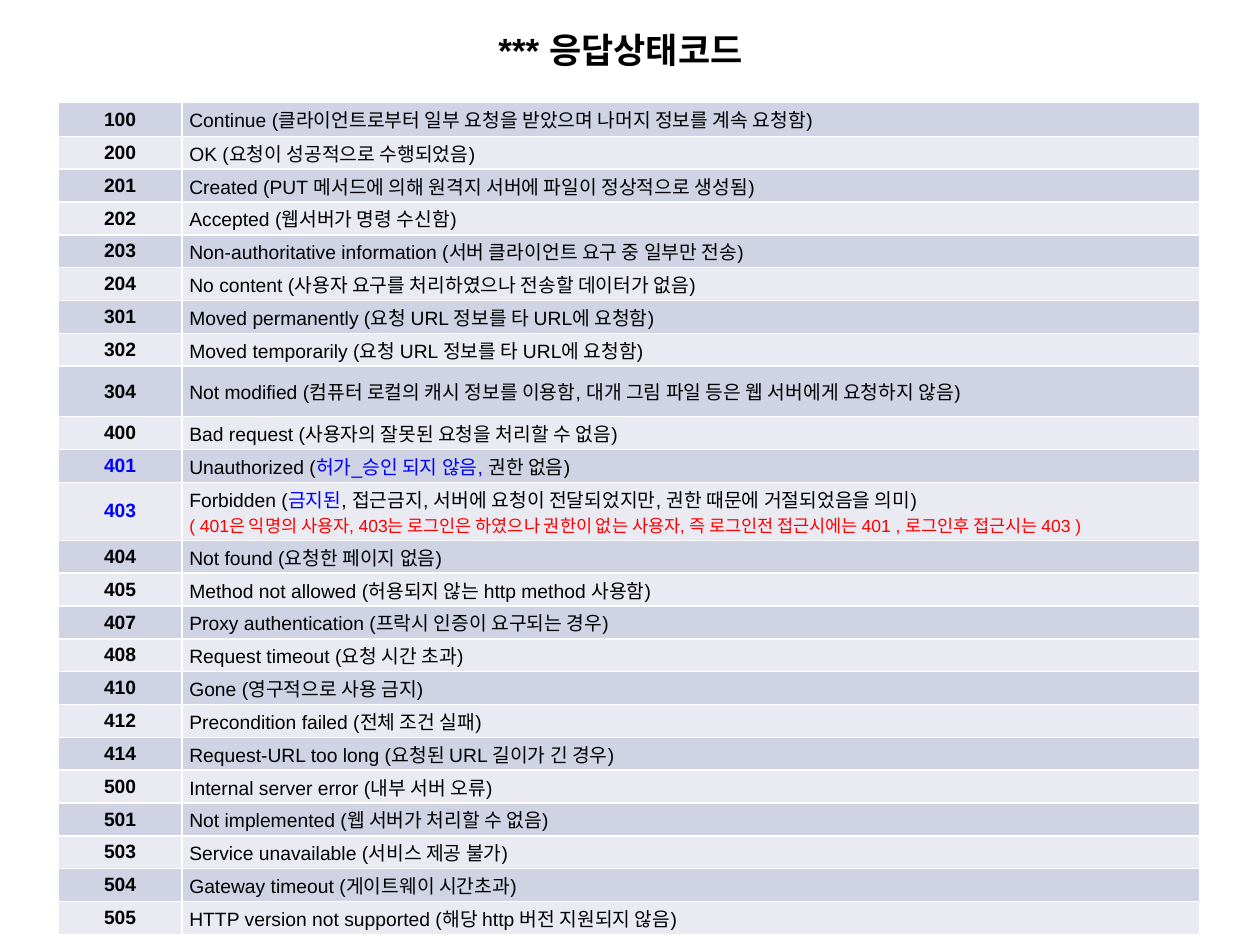
from lxml import etree
from pptx import Presentation
from pptx.dml.color import RGBColor
from pptx.enum import text
from pptx.oxml import ns
from pptx.util import Pt

COLORS = {"text": "000000", "blue": "0000FF", "red": "FF0000",
          "odd": "CFD3E4", "even": "E9EAF2", "border": "FFFFFF"}
FONT = "Arial"
ROW_H = 18
TALL_ROWS = {"100": 19.4, "304": 28.8, "403": 33}
BLUE_CODES = {"401", "403"}

# A description is a string, or lines of (text, colour, size) pieces
STATUS_CODES = [
    ("100", "Continue (클라이언트로부터 일부 요청을 받았으며 나머지 정보를 계속 요청함)"),
    ("200", "OK (요청이 성공적으로 수행되었음)"),
    ("201", "Created (PUT 메서드에 의해 원격지 서버에 파일이 정상적으로 생성됨)"),
    ("202", "Accepted (웹서버가 명령 수신함)"),
    ("203", "Non-authoritative information (서버 클라이언트 요구 중 일부만 전송)"),
    ("204", "No content (사용자 요구를 처리하였으나 전송할 데이터가 없음)"),
    ("301", "Moved permanently (요청 URL 정보를 타 URL에 요청함)"),
    ("302", "Moved temporarily (요청 URL 정보를 타 URL에 요청함)"),
    ("304", "Not modified (컴퓨터 로컬의 캐시 정보를 이용함, 대개 그림 파일 등은 웹 서버에게 요청하지 않음)"),
    ("400", "Bad request (사용자의 잘못된 요청을 처리할 수 없음)"),
    ("401", [[("Unauthorized (", "text", 11),
              ("허가_승인 되지 않음, ", "blue", 11),
              ("권한 없음)", "text", 11)]]),
    ("403", [[("Forbidden (", "text", 11),
              ("금지된", "blue", 11),
              (", 접근금지, 서버에 요청이 전달되었지만, 권한 때문에 거절되었음을 의미)", "text", 11)],
             [("( 401은 익명의 사용자, 403는 로그인은 하였으나 권한이 없는 사용자, "
               "즉 로그인전 접근시에는 401 , 로그인후 접근시는 403 )", "red", 10)]]),
    ("404", "Not found (요청한 페이지 없음)"),
    ("405", "Method not allowed (허용되지 않는 http method 사용함)"),
    ("407", "Proxy authentication (프락시 인증이 요구되는 경우)"),
    ("408", "Request timeout (요청 시간 초과)"),
    ("410", "Gone (영구적으로 사용 금지)"),
    ("412", "Precondition failed (전체 조건 실패)"),
    ("414", "Request-URL too long (요청된 URL 길이가 긴 경우)"),
    ("500", "Internal server error (내부 서버 오류)"),
    ("501", "Not implemented (웹 서버가 처리할 수 없음)"),
    ("503", "Service unavailable (서비스 제공 불가)"),
    ("504", "Gateway timeout (게이트웨이 시간초과)"),
    ("505", "HTTP version not supported (해당 http 버전 지원되지 않음)"),
]


def rgb(name):
    return RGBColor.from_string(COLORS[name])


def format_run(r, size, color="text", bold=False):
    r.font.name = FONT
    r.font.size = Pt(size)
    r.font.bold = bold
    r.font.color.rgb = rgb(color)


def add_title(slide, title):
    sp = slide.shapes.title
    sp.left, sp.top, sp.width, sp.height = Pt(14.4), Pt(5), Pt(680.4), Pt(46)
    tf = sp.text_frame
    tf.text = title
    tf.vertical_anchor = text.MSO_ANCHOR.MIDDLE
    p = tf.paragraphs[0]
    p.alignment = text.PP_ALIGN.CENTER
    format_run(p.runs[0], 20, bold=True)


def set_borders(cell):
    tc_pr = cell._tc.get_or_add_tcPr()
    for side in ("lnL", "lnR", "lnT", "lnB"):
        ln = etree.SubElement(tc_pr, ns.qn(f"a:{side}"), w=str(Pt(1)))
        fill = etree.SubElement(ln, ns.qn("a:solidFill"))
        etree.SubElement(fill, ns.qn("a:srgbClr"), val=COLORS["border"])


def fill_cell(cell, lines, band, align, bold=False):
    set_borders(cell)
    cell.fill.solid()
    cell.fill.fore_color.rgb = rgb(band)
    cell.vertical_anchor = text.MSO_ANCHOR.MIDDLE
    cell.margin_left = cell.margin_right = Pt(4.3)
    cell.margin_top = cell.margin_bottom = Pt(1.4)
    p = cell.text_frame.paragraphs[0]
    p.alignment = align
    for i, line in enumerate(lines):
        if i:
            p.add_line_break()
        for piece, color, size in line:
            r = p.add_run()
            r.text = piece
            format_run(r, size, color, bold)


def add_code_table(slide):
    heights = [TALL_ROWS.get(code, ROW_H) for code, _ in STATUS_CODES]
    widths = (70.5, 581.8)
    table = slide.shapes.add_table(len(heights), len(widths), Pt(33.4), Pt(58.5),
                                   Pt(sum(widths)), Pt(sum(heights))).table
    table.first_row = table.horz_banding = False
    for column, width in zip(table.columns, widths):
        column.width = Pt(width)
    for i, (code, description) in enumerate(STATUS_CODES):
        table.rows[i].height = Pt(heights[i])
        band = "even" if i % 2 else "odd"
        code_color = "blue" if code in BLUE_CODES else "text"
        if isinstance(description, str):
            description = [[(description, "text", 11)]]
        fill_cell(table.cell(i, 0), [[(code, code_color, 11)]], band,
                  text.PP_ALIGN.CENTER, bold=True)
        fill_cell(table.cell(i, 1), description, band, text.PP_ALIGN.LEFT)


def main():
    prs = Presentation()
    prs.slide_width, prs.slide_height = Pt(720), Pt(540)
    slide = prs.slides.add_slide(prs.slide_layouts[5])
    add_title(slide, "*** 응답상태코드")
    add_code_table(slide)
    prs.save("out.pptx")


if __name__ == "__main__":
    main()
